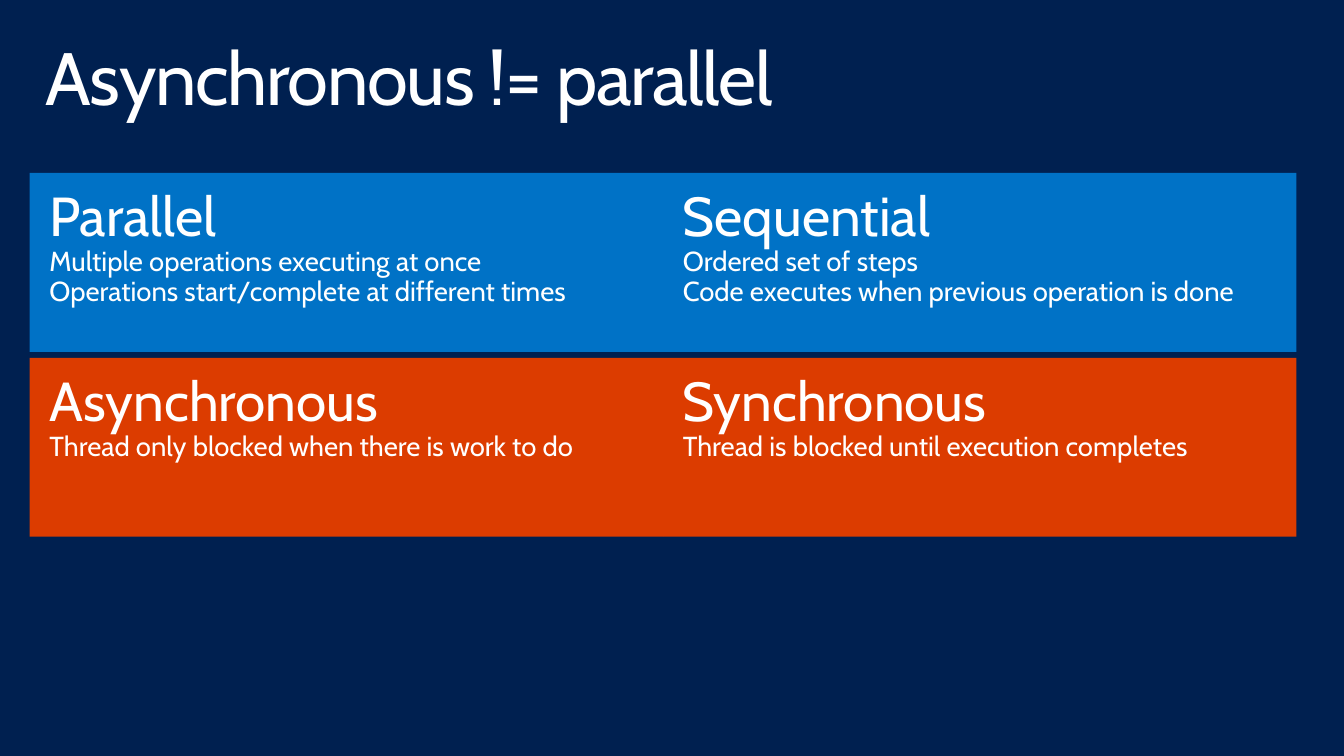
from pptx import Presentation
from pptx.dml.color import RGBColor
from pptx.enum.shapes import MSO_SHAPE as Shape
from pptx.enum.text import MSO_ANCHOR as Anchor, PP_ALIGN as Align
from pptx.util import Pt

NAVY, BLUE, ORANGE, WHITE = "002050", "0072C6", "DC3C00", "FFFFFF"
FONT = "Cabin"
CONCEPT_ROWS = [
    (BLUE, [
        ("Parallel", ["Multiple operations executing at once",
                      "Operations start/complete at different times"]),
        ("Sequential", ["Ordered set of steps",
                        "Code executes when previous operation is done"]),
    ]),
    (ORANGE, [
        ("Asynchronous", ["Thread only blocked when there is work to do"]),
        ("Synchronous", ["Thread is blocked until execution completes"]),
    ]),
]


def paint(fill, color):
    """Give a fill a solid hex colour."""
    fill.solid()
    fill.fore_color.rgb = RGBColor.from_string(color)


def write(frame, lines, sizes, inset_x, inset_y):
    """Write one paragraph per line, top left, in the slide's font."""
    frame.word_wrap = True
    frame.vertical_anchor = Anchor.TOP
    frame.margin_left = frame.margin_right = Pt(inset_x)
    frame.margin_top = frame.margin_bottom = Pt(inset_y)
    frame.text = "\n".join(lines)
    for paragraph, size in zip(frame.paragraphs, sizes):
        paragraph.alignment = Align.LEFT
        paragraph.line_spacing = 0.9
        for run in paragraph.runs:
            run.font.name = FONT
            run.font.size = Pt(size)
            paint(run.font.fill, WHITE)


def add_title(slide, left, top, width, height):
    """Place the slide title with slightly tightened letters."""
    title = slide.shapes.add_textbox(Pt(left), Pt(top), Pt(width), Pt(height))
    write(title.text_frame, ["Asynchronous != parallel"], [54], 11.5, 7.2)
    title.text_frame.paragraphs[0].runs[0].font._element.set("spc", "-100")


def add_concept(slide, left, top, width, height, color, name, details):
    """Place one coloured tile with a concept name and its details."""
    tile = slide.shapes.add_shape(
        Shape.RECTANGLE, Pt(left), Pt(top), Pt(width), Pt(height))
    tile.shadow.inherit = False
    tile.line.fill.background()
    paint(tile.fill, color)
    write(tile.text_frame, [name, *details], [40] + [20] * len(details), 14.4, 11.5)


def add_concept_grid(slide, left, top, width, height, gap):
    """Fill a box with rows of adjoining concept tiles."""
    tile_height = (height - gap * (len(CONCEPT_ROWS) - 1)) / len(CONCEPT_ROWS)
    for row, (color, concepts) in enumerate(CONCEPT_ROWS):
        tile_width = width / len(concepts)
        for column, (name, details) in enumerate(concepts):
            add_concept(slide, left + column * tile_width,
                        top + row * (tile_height + gap),
                        tile_width, tile_height, color, name, details)


def main():
    """Build and save the slide."""
    deck = Presentation()
    deck.slide_width, deck.slide_height = Pt(979.2), Pt(550.8)
    slide = deck.slides.add_slide(deck.slide_layouts[6])
    paint(slide.background.fill, NAVY)
    add_title(slide, 21.6, 23, 936, 72)
    add_concept_grid(slide, 21.6, 126, 923, 265, 4.4)
    deck.save("out.pptx")


if __name__ == "__main__":
    main()
